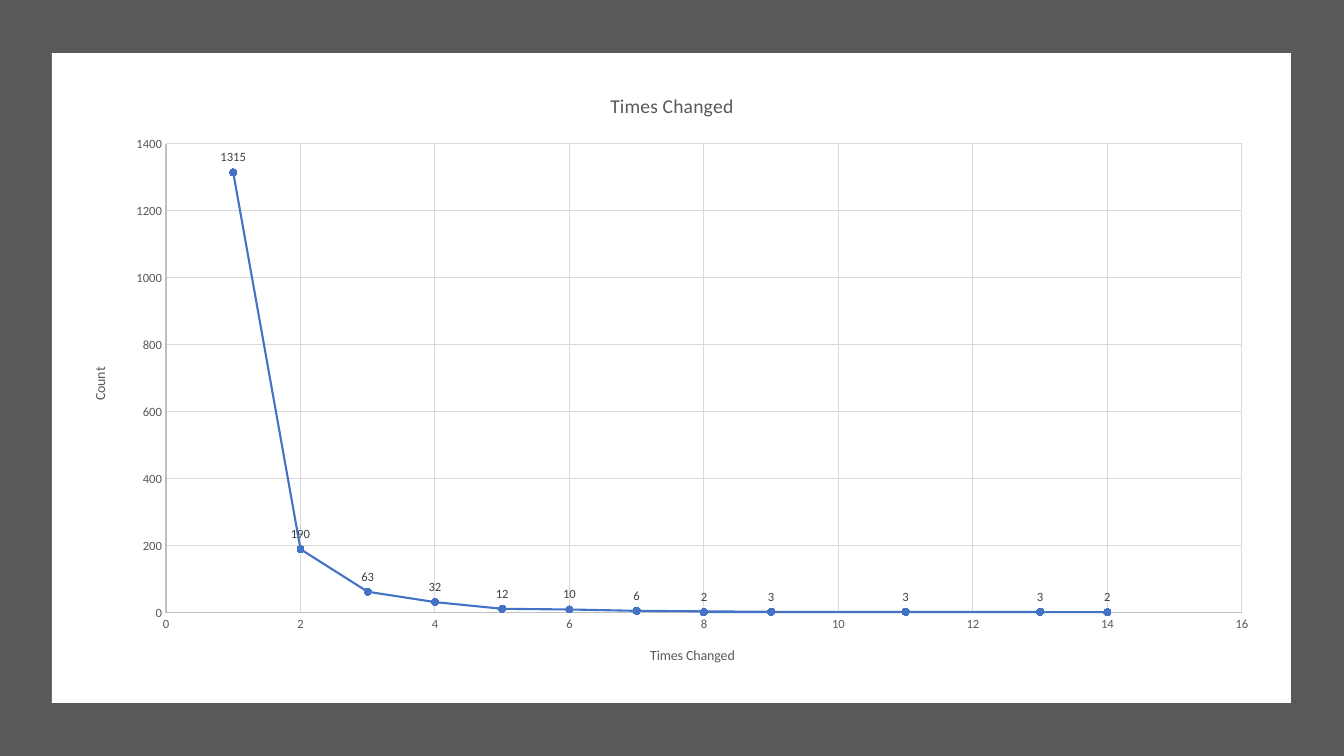
from lxml.etree import SubElement
from pptx import Presentation
from pptx.chart.data import XyChartData
from pptx.chart.datalabel import DataLabels
from pptx.dml.color import RGBColor
from pptx.enum.chart import XL_CHART_TYPE, XL_LABEL_POSITION, XL_MARKER_STYLE, XL_TICK_MARK
from pptx.enum.shapes import MSO_SHAPE
from pptx.oxml.ns import qn
from pptx.util import Pt

SIZE = (1344, 756)
PANELS = [((0, 0, 1344, 756), "595959"), ((52, 53, 1239, 650), "FFFFFF")]
FRAME = (71, 71, 1202, 614)
PLOT = (166, 144, 1076, 469)
TITLE = "Times Changed"
AXES = [("Times Changed", 16, 2), ("Count", 1400, 200)]
POINTS = [(1, 1315), (2, 190), (3, 63), (4, 32), (5, 12), (6, 10),
          (7, 6), (9, 3), (11, 3), (13, 3), (8, 2), (14, 2)]
BLUE, GREY = "4472C4", "595959"


def px(n):
    return round(n * 914400 / 100.8)


def tint(code):
    return RGBColor.from_string(code)


def paint(part, code):
    part.fill.solid()
    part.fill.fore_color.rgb = tint(code)


def stroke(line, code, width):
    line.color.rgb = tint(code)
    line.width = Pt(width)


def style(font, size, code):
    font.name = "Calibri"
    font.size = Pt(size)
    font.bold = False
    font.color.rgb = tint(code)


def head(title, text, size):
    run = title.text_frame.paragraphs[0].add_run()
    run.text = text
    style(run.font, size, GREY)


def place(chart):
    area = chart._chartSpace.chart.plotArea
    for old in area.findall(qn("c:layout")):
        area.remove(old)
    layout = SubElement(area, qn("c:layout"))
    area.insert(0, layout)
    manual = SubElement(layout, qn("c:manualLayout"))
    left, top, wide, high = FRAME
    x, y, w, h = PLOT
    rules = [("layoutTarget", "inner"), ("xMode", "edge"), ("yMode", "edge"),
             ("x", (x - left) / wide), ("y", (y - top) / high),
             ("w", w / wide), ("h", h / high)]
    for name, val in rules:
        SubElement(manual, qn("c:" + name)).set("val", str(val))


def main():
    deck = Presentation()
    deck.slide_width, deck.slide_height = map(px, SIZE)
    slide = deck.slides.add_slide(deck.slide_layouts[6])

    for box, code in PANELS:
        panel = slide.shapes.add_shape(MSO_SHAPE.RECTANGLE, *map(px, box))
        panel.shadow.inherit = False
        paint(panel, code)
        panel.line.fill.background()

    data = XyChartData()
    counts = data.add_series("Series 1")
    for x, y in POINTS:
        counts.add_data_point(x, y)
    chart = slide.shapes.add_chart(
        XL_CHART_TYPE.XY_SCATTER_LINES, *map(px, FRAME), data).chart
    style(chart.font, 10, "000000")
    chart.has_legend = False
    head(chart.chart_title, TITLE, 14)
    place(chart)

    for axis, (name, top, step) in zip((chart.category_axis, chart.value_axis), AXES):
        head(axis.axis_title, name, 10)
        axis.minimum_scale, axis.maximum_scale, axis.major_unit = 0, top, step
        axis.major_tick_mark = axis.minor_tick_mark = XL_TICK_MARK.NONE
        axis.has_major_gridlines = True
        stroke(axis.major_gridlines.format.line, "D9D9D9", 0.75)
        stroke(axis.format.line, "BFBFBF", 0.75)
        style(axis.tick_labels.font, 9, GREY)

    plot = chart.plots[0]
    plot.vary_by_categories = False
    series = plot.series[0]
    series._element.get_or_add_smooth().val = False
    stroke(series.format.line, BLUE, 1.5)
    mark = series.marker
    mark.style, mark.size = XL_MARKER_STYLE.CIRCLE, 5
    paint(mark.format, BLUE)
    stroke(mark.format.line, BLUE, 0.75)
    labels = DataLabels(series._element.get_or_add_dLbls())
    labels.show_value = True
    labels.position = XL_LABEL_POSITION.ABOVE
    style(labels.font, 9, "404040")

    deck.save("out.pptx")


if __name__ == "__main__":
    main()
